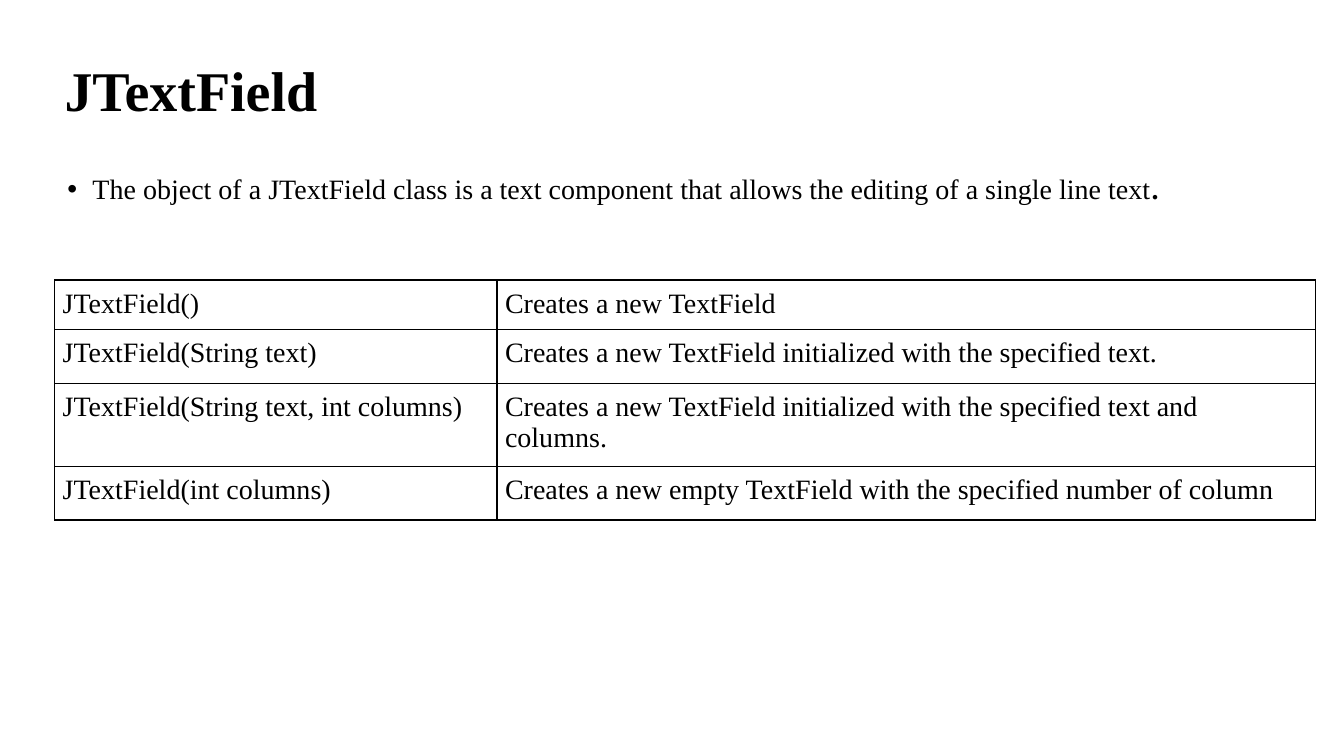
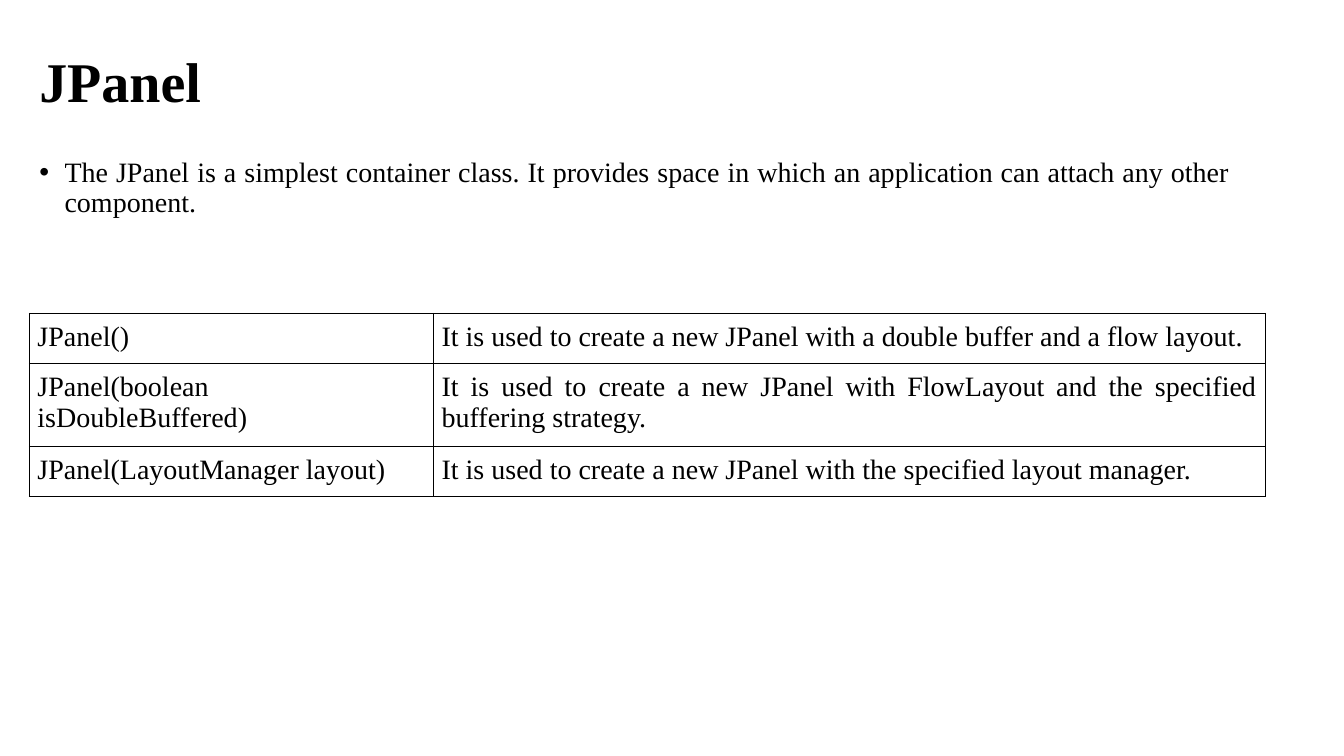
from lxml.etree import SubElement
from pptx import Presentation
from pptx.dml.color import RGBColor
from pptx.enum.text import MSO_ANCHOR as Anchor, PP_ALIGN as Align
from pptx.oxml.ns import qn
from pptx.util import Pt

COLORS = {"text": "000000", "border": "000000", "background": "FFFFFF"}
FONT = "Times New Roman"
TITLE_SIZE, BODY_SIZE = 40, 20
CELL_INSET = 5.76
BULLET_INDENT = 18


def add_run(p, text, size=BODY_SIZE, bold=False):
    """Add one run in the deck's font and colour."""
    r = p.add_run()
    r.text = text
    r.font.name, r.font.size, r.font.bold = FONT, Pt(size), bold
    r.font.color.rgb = RGBColor.from_string(COLORS["text"])


def add_text_box(s, box, anchor):
    """Add a wrapping text box and return its first paragraph."""
    tf = s.shapes.add_textbox(*map(Pt, box)).text_frame
    tf.word_wrap, tf.vertical_anchor = True, anchor
    p = tf.paragraphs[0]
    p.line_spacing = 0.9
    return p


def add_title(s, box, text):
    """Place the slide title in its box."""
    add_run(add_text_box(s, box, Anchor.MIDDLE), text, TITLE_SIZE, True)


def add_bullet(s, box, runs):
    """Place a justified bullet made of (text, bold) runs."""
    p = add_text_box(s, box, Anchor.TOP)
    p.alignment, p.space_before = Align.JUSTIFY, Pt(10)
    pPr = p._p.get_or_add_pPr()
    pPr.set("marL", str(Pt(BULLET_INDENT)))
    pPr.set("indent", str(-Pt(BULLET_INDENT)))
    SubElement(pPr, qn("a:buFont"), typeface="Arial")
    SubElement(pPr, qn("a:buChar"), char="•")
    for text, bold in runs:
        add_run(p, text, bold=bold)


def style_cell(cell):
    """Give a cell thin borders, even insets and no fill."""
    cell.margin_left = cell.margin_right = Pt(CELL_INSET)
    cell.margin_top = cell.margin_bottom = Pt(CELL_INSET)
    tcPr = cell._tc.get_or_add_tcPr()
    for side in ("lnL", "lnR", "lnT", "lnB"):
        ln = SubElement(tcPr, qn(f"a:{side}"), w=str(Pt(1)))
        fill = SubElement(ln, qn("a:solidFill"))
        SubElement(fill, qn("a:srgbClr"), val=COLORS["border"])
    cell.fill.background()


def add_constructors(s, origin, widths, heights, rows, align):
    """Place the table of constructors with its top left at origin."""
    box = (*origin, sum(widths), sum(heights))
    table = s.shapes.add_table(len(rows), len(widths), *map(Pt, box)).table
    table.first_row = table.horz_banding = False
    for column, width in zip(table.columns, widths):
        column.width = Pt(width)
    for row, height, texts in zip(table.rows, heights, rows):
        row.height = Pt(height)
        for cell, text in zip(row.cells, texts):
            style_cell(cell)
            p = cell.text_frame.paragraphs[0]
            p.alignment = align
            add_run(p, text)


def add_class_slide(prs, title, bullet, constructors):
    """Add a slide that presents one class."""
    s = prs.slides.add_slide(prs.slide_layouts[6])
    s.background.fill.solid()
    s.background.fill.fore_color.rgb = RGBColor.from_string(COLORS["background"])
    add_title(s, *title)
    add_bullet(s, *bullet)
    add_constructors(s, *constructors)


def main():
    """Build and save the deck."""
    prs = Presentation()
    prs.slide_width, prs.slide_height = Pt(960), Pt(540)
    add_class_slide(
        prs,
        title=((39, 28.8, 855, 76.3), "JTextField"),
        bullet=((41, 121.7, 828, 342.7), [
            ("The object of a JTextField class is a text component that "
             "allows the editing of a single line text", False),
            (".", True),
        ]),
        constructors=((39, 200), (316, 584.5), (34.3, 38.2, 56.5, 38.2), [
            ("JTextField()", "Creates a new TextField"),
            ("JTextField(String text)",
             "Creates a new TextField initialized with the specified text."),
            ("JTextField(String text, int columns)",
             "Creates a new TextField initialized with the specified text and columns."),
            ("JTextField(int columns)",
             "Creates a new empty TextField with the specified number of column"),
        ], Align.LEFT),
    )
    add_class_slide(
        prs,
        title=((21, 8, 828, 104.4), "JPanel"),
        bullet=((21, 109.5, 864.7, 409), [
            ("The JPanel is a simplest container class. It provides space in "
             "which an application can attach any other component.", False),
        ]),
        constructors=((21, 224), (288.7, 594), (34.3, 56.5, 34.3), [
            ("JPanel()",
             "It is used to create a new JPanel with a double buffer and a flow layout."),
            ("JPanel(boolean isDoubleBuffered)",
             "It is used to create a new JPanel with FlowLayout and the specified "
             "buffering strategy."),
            ("JPanel(LayoutManager layout)",
             "It is used to create a new JPanel with the specified layout manager."),
        ], Align.JUSTIFY),
    )
    prs.save("out.pptx")


if __name__ == "__main__":
    main()
